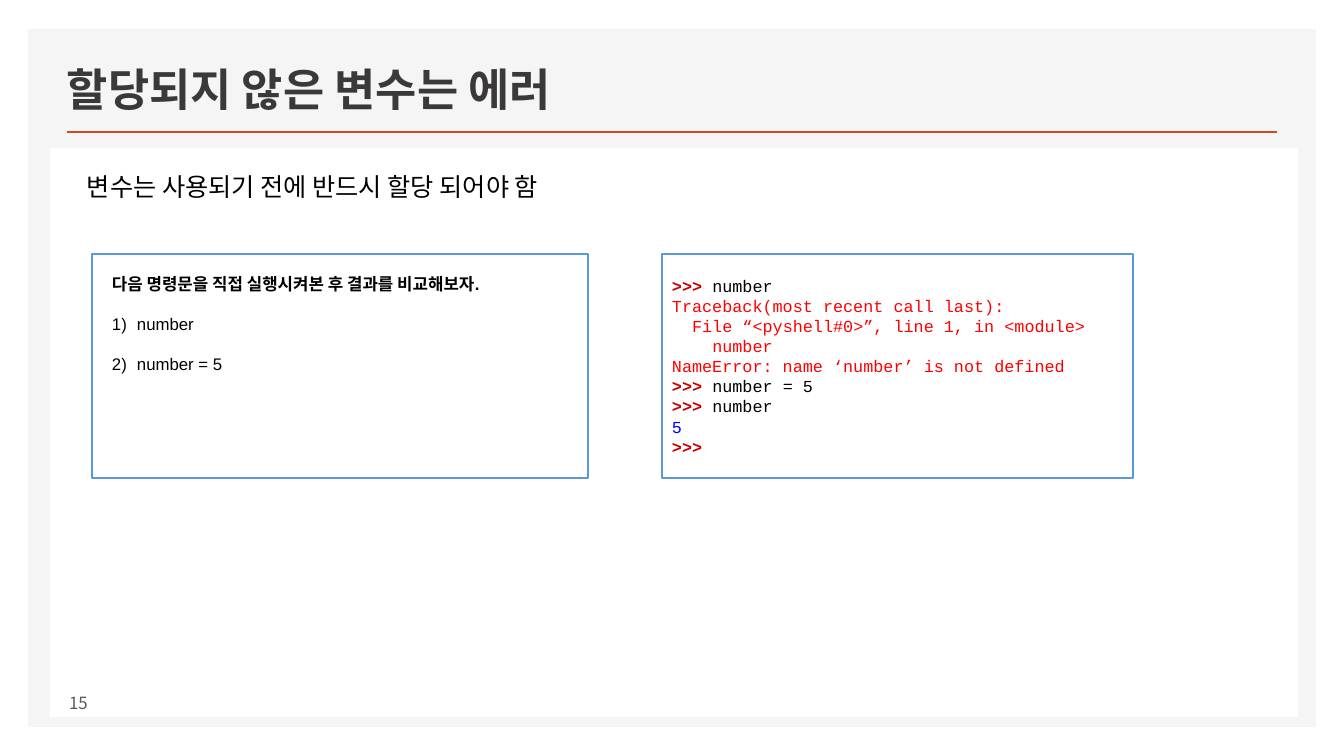
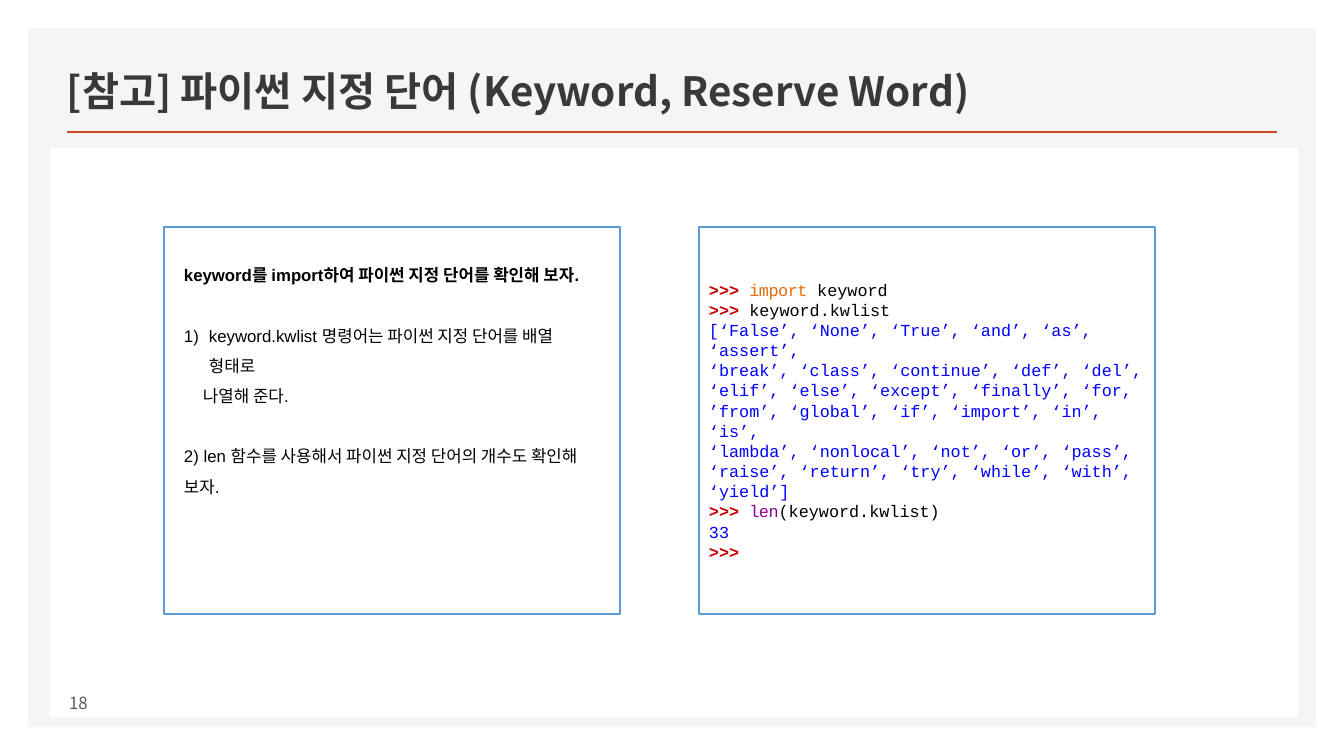
from pptx import Presentation
from pptx.dml.color import RGBColor
from pptx.enum.shapes import MSO_CONNECTOR, MSO_SHAPE
from pptx.enum.text import MSO_ANCHOR, PP_ALIGN
from pptx.oxml.ns import qn
from pptx.util import Emu, Pt
from lxml.etree import SubElement

WHITE = RGBColor(0xFF, 0xFF, 0xFF)
BLACK = RGBColor(0x00, 0x00, 0x00)
FRAME_GRAY = RGBColor(0xF5, 0xF5, 0xF5)
ACCENT = RGBColor(0xD2, 0x47, 0x26)
TITLE_GRAY = RGBColor(0x3B, 0x38, 0x38)
NUMBER_GRAY = RGBColor(0x59, 0x59, 0x59)
BOX_BLUE = RGBColor(0x5B, 0x9B, 0xD5)
PROMPT_RED = RGBColor(0xC7, 0x00, 0x00)
ERROR_RED = RGBColor(0xFF, 0x00, 0x00)
OUTPUT_BLUE = RGBColor(0x00, 0x00, 0xFF)
KEYWORD_ORANGE = RGBColor(0xE4, 0x6C, 0x0A)
BUILTIN_PURPLE = RGBColor(0x90, 0x00, 0x90)

KOREAN_FONT = "Noto Sans CJK KR"
TEXT_FONT = "Arial"
CODE_FONT = "Courier New"
CODE_CHARACTER = 7.2
PROMPT = (">>> ", PROMPT_RED)


def px(pixels):
    return Emu(round(pixels * 914400 / 100.8))


def style(paragraph, font_name, size, colour, bold=False):
    font = paragraph.font
    font.name, font.size, font.bold = font_name, Pt(size), bold
    font.color.rgb = colour
    defaults = paragraph._p.pPr.find(qn("a:defRPr"))
    SubElement(defaults, qn("a:ea")).set("typeface", KOREAN_FONT)


def indent(paragraph, left, first=0):
    properties = paragraph._p.get_or_add_pPr()
    properties.set("marL", str(int(left)))
    properties.set("indent", str(int(first)))


def number(paragraph):
    indent(paragraph, px(25), -px(25))
    bullet = SubElement(paragraph._p.get_or_add_pPr(), qn("a:buAutoNum"))
    bullet.set("type", "arabicParenR")


def next_paragraph(frame, index):
    paragraph = frame.add_paragraph() if index else frame.paragraphs[0]
    paragraph.alignment = PP_ALIGN.LEFT
    return paragraph


def set_frame(frame, anchor, insets=(10, 5, 10, 5)):
    frame.word_wrap = True
    frame.vertical_anchor = anchor
    (frame.margin_left, frame.margin_top,
     frame.margin_right, frame.margin_bottom) = map(px, insets)


def add_rectangle(slide, box, fill, line=None):
    shape = slide.shapes.add_shape(MSO_SHAPE.RECTANGLE, *map(px, box))
    shape.shadow.inherit = False
    shape.fill.solid()
    shape.fill.fore_color.rgb = fill
    if line is None:
        shape.line.fill.background()
    else:
        shape.line.color.rgb = line
        shape.line.width = Pt(1)
    return shape


def add_text(slide, box, text, size, colour, anchor, bold=False):
    frame = slide.shapes.add_textbox(*map(px, box)).text_frame
    set_frame(frame, anchor)
    paragraph = frame.paragraphs[0]
    paragraph.text = text
    style(paragraph, KOREAN_FONT, size, colour, bold)
    return paragraph


def add_base(presentation, title, title_size, page):
    slide = presentation.slides.add_slide(presentation.slide_layouts[6])
    add_rectangle(slide, (28, 29, 1288, 698), FRAME_GRAY)
    rule = slide.shapes.add_connector(
        MSO_CONNECTOR.STRAIGHT, px(67), px(132), px(1277), px(132))
    rule.line.color.rgb = ACCENT
    rule.line.width = Pt(2)
    SubElement(rule._element.spPr, qn("a:effectLst"))
    add_rectangle(slide, (50, 148, 1248, 569), WHITE)
    add_text(slide, (57, 49, 1036, 71), title, title_size, TITLE_GRAY,
             MSO_ANCHOR.BOTTOM, bold=True)
    add_text(slide, (59, 682, 361, 41), str(page), 12, NUMBER_GRAY, MSO_ANCHOR.MIDDLE)
    return slide


def add_task_box(slide, box, top_inset, heading, items, spacing, gap):
    frame = add_rectangle(slide, box, WHITE, BOX_BLUE).text_frame
    set_frame(frame, MSO_ANCHOR.TOP, (20, top_inset, 20, 5))
    for index, (text, kind) in enumerate([(heading, "heading")] + items):
        paragraph = next_paragraph(frame, index)
        paragraph.text = text
        paragraph.line_spacing = spacing
        if kind in ("numbered", "plain"):
            paragraph.space_before = Pt(gap)
        if kind == "numbered":
            number(paragraph)
        elif kind == "continued":
            indent(paragraph, px(19))
        style(paragraph, TEXT_FONT, 12, BLACK, kind == "heading")


def add_code_box(slide, box, lines):
    frame = add_rectangle(slide, box, WHITE, BOX_BLUE).text_frame
    set_frame(frame, MSO_ANCHOR.MIDDLE)
    for index, pieces in enumerate(lines):
        paragraph = next_paragraph(frame, index)
        first = pieces[0][0]
        indent(paragraph, Pt(CODE_CHARACTER * (len(first) - len(first.lstrip()))))
        style(paragraph, CODE_FONT, 12, BLACK)
        for text, colour in pieces:
            run = paragraph.add_run()
            run.text = text.lstrip()
            run.font.color.rgb = colour
            run.font.bold = colour == PROMPT_RED
            if colour in (KEYWORD_ORANGE, BUILTIN_PURPLE):
                run.font._element.set("spc", "-30")


def command(text):
    return [PROMPT, (text, BLACK)]


def printed(colour, *lines):
    return [[(line, colour)] for line in lines]


def build_unassigned_slide(presentation):
    slide = add_base(presentation, "할당되지 않은 변수는 에러", 32, 15)
    statement = add_text(slide, (77, 172, 947, 367), "변수는 사용되기 전에 반드시 할당 되어야 함",
                         18, BLACK, MSO_ANCHOR.TOP)
    statement.line_spacing = 0.8
    statement.space_before = Pt(10)
    statement.space_after = Pt(12)
    add_task_box(slide, (92, 254, 496, 224), 20,
                 "다음 명령문을 직접 실행시켜본 후 결과를 비교해보자.",
                 [("number", "numbered"), ("number = 5", "numbered")], 1.0, 14)
    add_code_box(slide, (662, 254, 471, 224), [
        command("number"),
        *printed(ERROR_RED,
                 "Traceback(most recent call last):",
                 "  File “<pyshell#0>”, line 1, in <module>",
                 "    number",
                 "NameError: name ‘number’ is not defined"),
        command("number = 5"),
        command("number"),
        *printed(OUTPUT_BLUE, "5"),
        [PROMPT],
    ])


def build_keyword_slide(presentation):
    slide = add_base(presentation, "[참고] 파이썬 지정 단어 (Keyword, Reserve Word)", 28.8, 18)
    add_code_box(slide, (699, 227, 456, 387), [
        [PROMPT, ("import ", KEYWORD_ORANGE), ("keyword", BLACK)],
        command("keyword.kwlist"),
        *printed(OUTPUT_BLUE,
                 "[‘False’, ‘None’, ‘True’, ‘and’, ‘as’, ‘assert’, ",
                 "‘break’, ‘class’, ‘continue’, ‘def’, ‘del’, ",
                 "‘elif’, ‘else’, ‘except’, ‘finally’, ‘for, ",
                 "’from’, ‘global’, ‘if’, ‘import’, ‘in’, ‘is’, ",
                 "‘lambda’, ‘nonlocal’, ‘not’, ‘or’, ‘pass’, ",
                 "‘raise’, ‘return’, ‘try’, ‘while’, ‘with’, ",
                 "‘yield’]"),
        [PROMPT, ("len", BUILTIN_PURPLE), ("(keyword.kwlist)", BLACK)],
        *printed(OUTPUT_BLUE, "33"),
        [PROMPT],
    ])
    add_task_box(slide, (164, 227, 456, 387), 28,
                 "keyword를 import하여 파이썬 지정 단어를 확인해 보자.",
                 [("keyword.kwlist 명령어는 파이썬 지정 단어를 배열 형태로 ", "numbered"),
                  ("나열해 준다.", "continued"),
                  ("2) len 함수를 사용해서 파이썬 지정 단어의 개수도 확인해 보자.", "plain")],
                 1.5, 21.5)


presentation = Presentation()
presentation.slide_width = px(1344)
presentation.slide_height = px(756)
build_unassigned_slide(presentation)
build_keyword_slide(presentation)
presentation.save("out.pptx")
